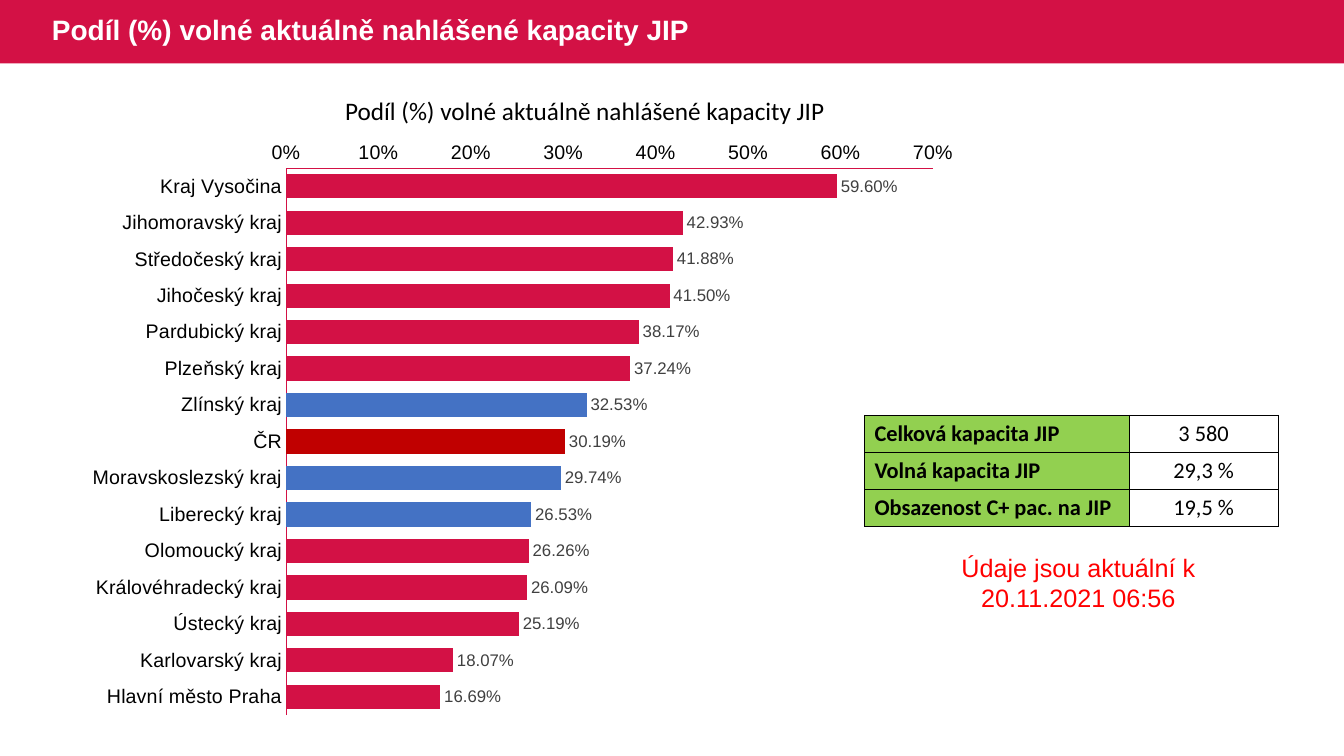
"""Build the slide on the free reported capacity of intensive care units."""
from dataclasses import dataclass

from lxml.etree import SubElement
from pptx import Presentation
from pptx.chart.data import CategoryChartData
from pptx.dml.color import RGBColor
from pptx.enum.chart import XL_CHART_TYPE as ChartType, XL_LABEL_POSITION as LabelPosition
from pptx.enum.chart import XL_TICK_MARK as TickMark
from pptx.enum.shapes import MSO_SHAPE as Preset
from pptx.enum.text import MSO_ANCHOR as Anchor, PP_ALIGN as Align
from pptx.oxml import parse_xml
from pptx.oxml.ns import nsdecls, qn
from pptx.util import Pt

CRIMSON, BLUE, RED, GREEN = "D31145", "4472C4", "C00000", "92D050"
HEADING = "Podíl (%) volné aktuálně nahlášené kapacity JIP"


@dataclass
class Region:
    name: str
    share: float
    fill: str = CRIMSON


@dataclass
class Fact:
    label: str
    value: str


REGIONS = [
    Region("Kraj Vysočina", 0.596),
    Region("Jihomoravský kraj", 0.4293),
    Region("Středočeský kraj", 0.4188),
    Region("Jihočeský kraj", 0.415),
    Region("Pardubický kraj", 0.3817),
    Region("Plzeňský kraj", 0.3724),
    Region("Zlínský kraj", 0.3253, BLUE),
    Region("ČR", 0.3019, RED),
    Region("Moravskoslezský kraj", 0.2974, BLUE),
    Region("Liberecký kraj", 0.2653, BLUE),
    Region("Olomoucký kraj", 0.2626),
    Region("Královéhradecký kraj", 0.2609),
    Region("Ústecký kraj", 0.2519),
    Region("Karlovarský kraj", 0.1807),
    Region("Hlavní město Praha", 0.1669),
]
FACTS = [
    Fact("Celková kapacita JIP", "3 580"),
    Fact("Volná kapacita JIP", "29,3 %"),
    Fact("Obsazenost C+ pac. na JIP", "19,5 %"),
]


def paint(target, color: str) -> None:
    """Give a fill or a font one solid colour."""
    if hasattr(target, "solid"):
        target.solid()
        target.fore_color.rgb = RGBColor.from_string(color)
    else:
        target.color.rgb = RGBColor.from_string(color)


def style_font(font, size: float, color: str = "000000", name: str = "Arial", bold: bool = False) -> None:
    """Set the look of a font."""
    font.size, font.name, font.bold = Pt(size), name, bold
    paint(font, color)


def write(frame, text: str, *, align=Align.LEFT, spacing: float = 1.0, **look) -> None:
    """Write one formatted paragraph into a text frame."""
    para = frame.paragraphs[0]
    para.alignment, para.line_spacing = align, spacing
    span = para.add_run()
    span.text = text
    style_font(span.font, **look)


def add_text(page, left: float, top: float, width: float, height: float, text: str, *,
             wrap: bool = True, anchor=Anchor.TOP, **look) -> None:
    """Add a text box."""
    box = page.shapes.add_textbox(Pt(left), Pt(top), Pt(width), Pt(height))
    box.text_frame.word_wrap = wrap
    box.text_frame.vertical_anchor = anchor
    write(box.text_frame, text, **look)


def add_banner(page) -> None:
    """Add the band across the top with the heading."""
    band = page.shapes.add_shape(Preset.RECTANGLE, 0, 0, Pt(960), Pt(45.2))
    band.shadow.inherit = False
    paint(band.fill, CRIMSON)
    band.line.fill.background()
    add_text(page, 30, 0, 832, 45.2, HEADING, anchor=Anchor.MIDDLE, spacing=0.9,
             size=20, color="FFFFFF", bold=True)


def place_plot(chart, **fractions: float) -> None:
    """Fix the inner plot area as fractions of the chart."""
    area = chart.plots[0]._element.getparent()
    for old in area.findall(qn("c:layout")):
        area.remove(old)
    layout = parse_xml(f"<c:layout {nsdecls('c')}><c:manualLayout/></c:layout>")
    settings = {"layoutTarget": "inner", "xMode": "edge", "yMode": "edge", **fractions}
    for tag, value in settings.items():
        SubElement(layout[0], qn(f"c:{tag}")).set("val", str(value))
    area.insert(0, layout)


def add_share_chart(page) -> None:
    """Add the bar chart of free capacity by region."""
    data = CategoryChartData(number_format="0.00%")
    data.categories = [region.name for region in REGIONS]
    data.add_series("Series 1", [region.share for region in REGIONS])
    chart = page.shapes.add_chart(ChartType.BAR_CLUSTERED, Pt(53.3), Pt(93.6), Pt(640), Pt(427), data).chart
    chart.has_title = chart.has_legend = False
    style_font(chart.font, 10)
    for axis in (chart.category_axis, chart.value_axis):
        axis.has_major_gridlines = False
        axis.major_tick_mark = axis.minor_tick_mark = TickMark.NONE
        style_font(axis.tick_labels.font, 14)
        axis.format.line.width = Pt(0.75)
        paint(axis.format.line.fill, CRIMSON)
    chart.category_axis.reverse_order = True
    scale = chart.value_axis
    scale.minimum_scale, scale.maximum_scale, scale.major_unit = 0, 0.7, 0.1
    scale.tick_labels.number_format = "0%"
    scale.tick_labels.number_format_is_linked = False

    plot = chart.plots[0]
    plot.gap_width, plot.vary_by_categories = 50, False
    series = plot.series[0]
    series.invert_if_negative = False
    paint(series.format.fill, CRIMSON)
    for index, region in enumerate(REGIONS):
        if region.fill != CRIMSON:
            paint(series.points[index].format.fill, region.fill)
    labels = series.data_labels
    labels.show_value, labels.position = True, LabelPosition.OUTSIDE_END
    labels.number_format, labels.number_format_is_linked = "0.00%", False
    style_font(labels.font, 12, "404040")
    place_plot(chart, x=0.236, y=0.062, w=0.722, h=0.915)


def add_borders(cell) -> None:
    """Outline a table cell in black."""
    for index, side in enumerate(("lnL", "lnR", "lnT", "lnB")):
        cell._tc.get_or_add_tcPr().insert(index, parse_xml(
            f'<a:{side} {nsdecls("a")} w="{Pt(0.75)}"><a:solidFill>'
            f'<a:srgbClr val="000000"/></a:solidFill></a:{side}>'))


def add_fact_table(page) -> None:
    """Add the table of overall capacity figures."""
    table = page.shapes.add_table(len(FACTS), 2, Pt(617.5), Pt(296.7), Pt(295.5), Pt(79.2)).table
    table.first_row = table.horz_banding = False
    table.columns[0].width, table.columns[1].width = Pt(189), Pt(106.5)
    for row, fact in enumerate(FACTS):
        table.rows[row].height = Pt(26.4)
        label, value = table.cell(row, 0), table.cell(row, 1)
        paint(label.fill, GREEN)
        value.fill.background()
        value.vertical_anchor = Anchor.MIDDLE
        write(label.text_frame, fact.label, size=16, name="Calibri", bold=True)
        write(value.text_frame, fact.value, size=16, name="Calibri", align=Align.CENTER)
        add_borders(label)
        add_borders(value)


def main() -> None:
    """Build and save the deck."""
    deck = Presentation()
    deck.slide_width, deck.slide_height = Pt(960), Pt(540)
    page = deck.slides.add_slide(deck.slide_layouts[6])
    add_banner(page)
    add_share_chart(page)
    add_text(page, 239.5, 64.3, 369, 29, HEADING, wrap=False, size=18, name="Calibri")
    add_fact_table(page)
    add_text(page, 678.5, 391, 183.5, 51, "Údaje jsou aktuální k 20.11.2021 06:56",
             align=Align.CENTER, size=18, color="FF0000")
    deck.save("out.pptx")


if __name__ == "__main__":
    main()
